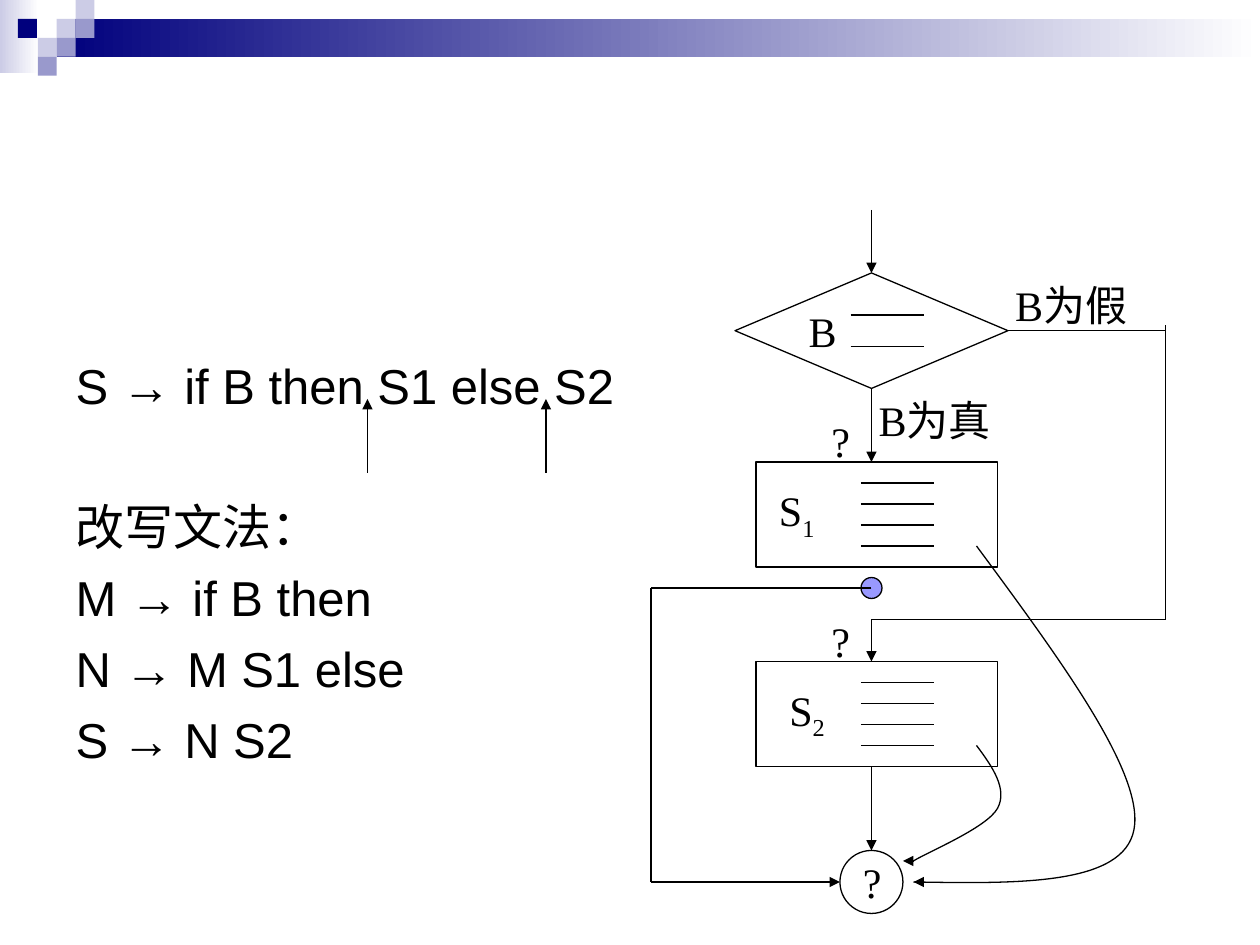
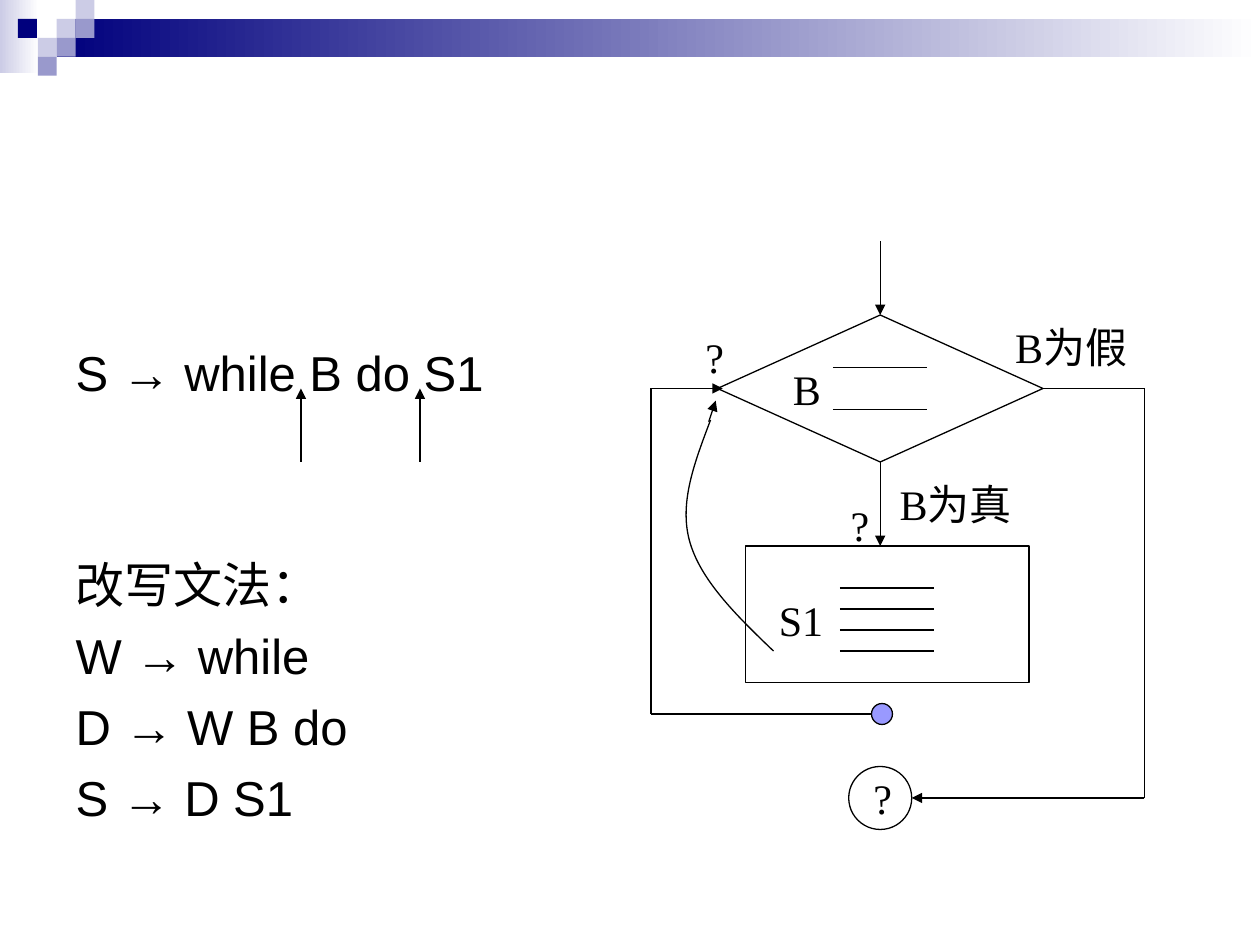
from dataclasses import dataclass
from itertools import pairwise
from typing import Any

from lxml.etree import SubElement as Sub
from pptx import Presentation
from pptx.dml.color import RGBColor as Rgb
from pptx.enum.shapes import MSO_CONNECTOR as Conn, MSO_SHAPE as Kind
from pptx.enum.text import MSO_ANCHOR as Anchor, MSO_AUTO_SIZE as Fit
from pptx.oxml.ns import qn
from pptx.util import Pt

HUES = {"ink": "000000", "navy": "00007D", "mid": "9999CC",
        "pale": "CCCCE6", "white": "FFFFFF", "dot": "9999FF"}
SANS, SERIF = "Arial", "Times New Roman"
TOP, BOTTOM, RIGHT = 0, 2, 3
CELL = 10.8


def hue(name):
    return Rgb.from_string(HUES[name])


def style(font, face, size):
    font.name, font.size = face, Pt(size)
    font.color.rgb = hue("ink")


@dataclass
class Pen:
    """Draws on a slide, in points from the corner of a region."""
    slide: Any
    left: float = 0
    top: float = 0

    def spot(self, x, y):
        return Pt(self.left + x), Pt(self.top + y)

    def ink(self, shape):
        shape.line.color.rgb = hue("ink")
        shape.line.width = Pt(0.75)

    def shape(self, kind, x, y, wide, high, fill=None, edge=True):
        shape = self.slide.shapes.add_shape(
            kind, *self.spot(x, y), Pt(wide), Pt(high))
        shape.shadow.inherit = False
        if fill:
            shape.fill.solid()
            shape.fill.fore_color.rgb = hue(fill)
        else:
            shape.fill.background()
        if edge:
            self.ink(shape)
        else:
            shape.line.fill.background()
        return shape

    def line(self, start, end, arrow=False):
        line = self.slide.shapes.add_connector(
            Conn.STRAIGHT, *self.spot(*start), *self.spot(*end))
        self.ink(line)
        if arrow:
            Sub(line.element.find(".//" + qn("a:ln")), qn("a:tailEnd"),
                type="triangle")
        Sub(line.element.spPr, qn("a:effectLst"))
        return line

    def route(self, *stops, arrow=True):
        """Chain of lines with an arrowhead on the last; gives them all."""
        last = len(stops) - 2
        return [self.line(start, end, arrow and i == last)
                for i, (start, end) in enumerate(pairwise(stops))]

    def rules(self, x, y, wide, count, gap):
        for i in range(count):
            self.line((x, y + i * gap), (x + wide, y + i * gap))

    def label(self, text, x, y, wide, high=36, sub=None):
        box = self.slide.shapes.add_textbox(
            *self.spot(x, y), Pt(wide), Pt(high))
        frame = box.text_frame
        frame.word_wrap = False
        frame.auto_size = Fit.SHAPE_TO_FIT_TEXT
        for part in filter(None, (text, sub)):
            run = frame.paragraphs[0].add_run()
            run.text = part
            style(run.font, SERIF, 24)
        if sub:
            box.element.findall(".//" + qn("a:rPr"))[-1].set(
                "baseline", "-25000")

    def marks(self, *spots):
        for x, y in spots:
            self.label("?", x, y, 25)

    def curve(self, *stops):
        """Bezier chain: a start, then two handles and an end for each arc."""
        spots = [self.spot(*stop) for stop in stops]
        form = self.slide.shapes.build_freeform(*spots[0])
        form.add_line_segments(spots[1:], close=False)
        shape = form.convert_to_shape()
        shape.shadow.inherit = False
        shape.fill.background()
        self.ink(shape)
        trail = shape.element.find(".//" + qn("a:path"))
        steps = trail.findall(qn("a:lnTo"))
        for i in range(0, len(steps), 3):
            arc = Sub(trail, qn("a:cubicBezTo"))
            for step in steps[i:i + 3]:
                arc.append(step[0])
                trail.remove(step)


def header(slide, layout):
    """Draws the band and squares, then hands them to the layout."""
    pen = Pen(slide)
    parts = []
    for box, tint in [((0, 0, 22.3, 42), "pale"),
                      ((32.4, CELL, 687.6, 21.6), "navy")]:
        band = pen.shape(Kind.RECTANGLE, *box, edge=False)
        band.fill.gradient()
        band.fill.gradient_angle = 0
        for stop, name in zip(band.fill.gradient_stops, (tint, "white")):
            stop.color.rgb = hue(name)
        parts.append(band)
    for col, row, tint in [(3, 1, "pale"), (4, 0, "pale"), (4, 1, "mid"),
                           (2, 2, "pale"), (0.95, 1, "navy"),
                           (3, 2, "mid"), (2, 3, "mid")]:
        parts.append(pen.shape(Kind.RECTANGLE, col * CELL, row * CELL,
                               CELL, CELL, tint, edge=False))
    for i, part in enumerate(parts, 20):
        part.element.nvSpPr.cNvPr.id = i
        layout.shapes.element.append(part.element)


def grammar(slide, box, inset, gap, rows, ticks, base):
    """Fills the body: a rule, then after a gap its rewritten form."""
    left, top, wide, high = box
    body = slide.placeholders[1]
    body.left, body.top = Pt(left), Pt(top)
    body.width, body.height = Pt(wide), Pt(high)
    frame = body.text_frame
    frame.auto_size = Fit.NONE
    frame.vertical_anchor = Anchor.TOP
    frame.margin_top = Pt(inset)
    for i, row in enumerate(rows):
        para = frame.paragraphs[0] if i == 0 else frame.add_paragraph()
        para.space_before = Pt({0: 0, 1: gap}.get(i, 7))
        run = para.add_run()
        run.text = row
        style(run.font, SANS, 28)
        props = para._p.get_or_add_pPr()
        props.set("marL", "0")
        props.set("indent", "0")
        Sub(props, qn("a:buNone"))
    pen = Pen(slide, left, top)
    for x in ticks:
        pen.line((x, base), (x, base - 42), arrow=True)


def branch(slide, left, top):
    """Flow chart of if-then-else."""
    pen = Pen(slide, left, top)
    mid, side, low, end = 126, 294, 234, 384
    test = pen.shape(Kind.DIAMOND, 48, 36, 156, 66)
    for y, x, digit in [(144, 66, "1"), (258, 72, "2")]:
        pen.shape(Kind.RECTANGLE, 60, y, 138, 60)
        pen.label("S", x, y + 9.5, 35, 40, sub=digit)
        pen.rules(120, y + 12, 42, 4, 12)
    pen.label("B", 83, 51, 30)
    pen.rules(114, 60, 42, 2, 18)

    pen.route((mid, 0), (mid, 36))[0].end_connect(test, TOP)
    pen.route((mid, 102), (mid, 144))[0].begin_connect(test, BOTTOM)
    pen.line((204, 69), (side, 69)).begin_connect(test, RIGHT)
    pen.route((side, 66), (side, low), (mid, low), (mid, 258))
    goal = pen.shape(Kind.OVAL, 108, end - 18, 36, 36)
    pen.shape(Kind.OVAL, mid - 6, 210, 12, 12, "dot")
    pen.route((mid, 216), (0, 216), (0, end), (108, end))
    pen.route((mid, 318), (mid, 366))[0].end_connect(goal, TOP)

    pen.label("B为假", 201, 36, 84)
    pen.label("B为真", 123, 102, 84)
    pen.marks((114, 366), (96, 114), (96, 228))
    pen.curve((186, 306), (195, 318), (204, 331), (198, 342),
              (192, 353), (158, 367), (150, 372))
    pen.curve((186, 192), (234, 257), (282, 322), (276, 354),
              (270, 386), (210, 385), (150, end))
    pen.route((150, 372), (144, 372))
    pen.route((156, end), (150, end))


def loop(slide, left, top):
    """Flow chart of while-do."""
    pen = Pen(slide, left, top)
    mid, side, row, end = 131, 282, 84, 318
    test = pen.shape(Kind.DIAMOND, 38, 42, 186, 84)
    pen.shape(Kind.RECTANGLE, 54, 174, 162, 78)
    pen.label("B", 74, 66, 30)
    pen.label("S1", 66, 198, 40)
    pen.rules(104, 72, 54, 2, 24)
    pen.rules(108, 198, 54, 4, 12)

    pen.route((mid, 0), (mid, 42))[0].end_connect(test, TOP)
    pen.route((mid, 126), (mid, 174))[0].begin_connect(test, BOTTOM)
    exits = pen.route((224, row), (side, row), (side, end), (149, end))
    exits[0].begin_connect(test, RIGHT)
    pen.shape(Kind.OVAL, 113, end - 18, 36, 36)
    pen.shape(Kind.OVAL, 126, 264, 12, 12, "dot")
    pen.route((126, 270), (0, 270), (0, row), (41, row))

    pen.label("B为假", 201, 42, 84)
    pen.label("B为真", 135, 132, 84)
    pen.marks((120, 300), (107, 144), (24, 48))
    pen.curve((70, 234), (48, 213), (28, 193), (22, 171),
              (16, 149), (25, 126), (34, 102))
    pen.route((33, 103), (37, 91))


def blank(deck, layout):
    slide = deck.slides.add_slide(layout)
    title = slide.shapes.title.element
    title.getparent().remove(title)
    return slide


def main():
    deck = Presentation()
    deck.slide_width, deck.slide_height = Pt(720), Pt(540)
    layout = deck.slide_layouts[1]

    first = blank(deck, layout)
    header(first, layout)
    grammar(first, (36, 156, 330, 306), 47, 47,
            ["S → if B then S1 else S2", "改写文法：", "M → if B then",
             "N → M S1 else", "S → N S2"], (174, 276), 114)
    branch(first, 372, 120)

    second = blank(deck, layout)
    grammar(second, (36, 156, 318, 318), 40, 87,
            ["S → while B do S1", "改写文法：", "W → while",
             "D → W B do", "S → D S1"], (204, 136), 108)
    loop(second, 372, 138)
    deck.save("out.pptx")


if __name__ == "__main__":
    main()
